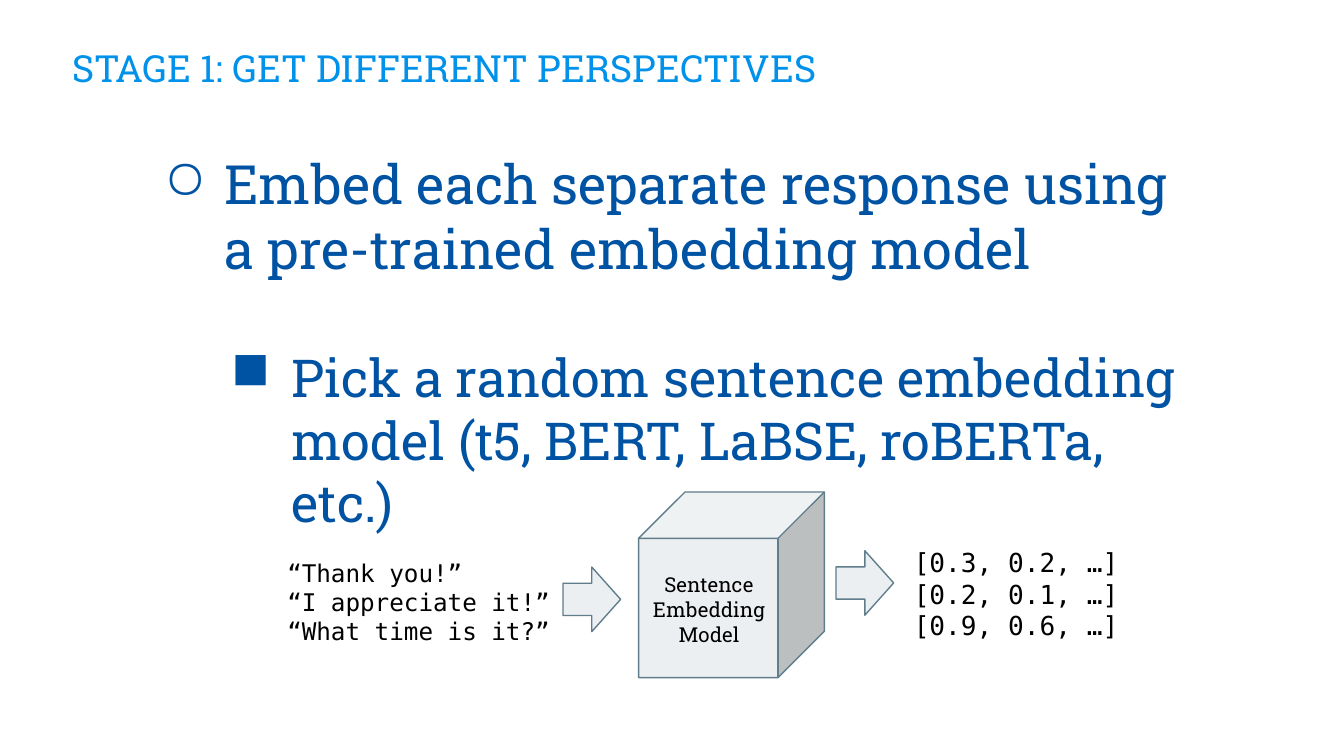
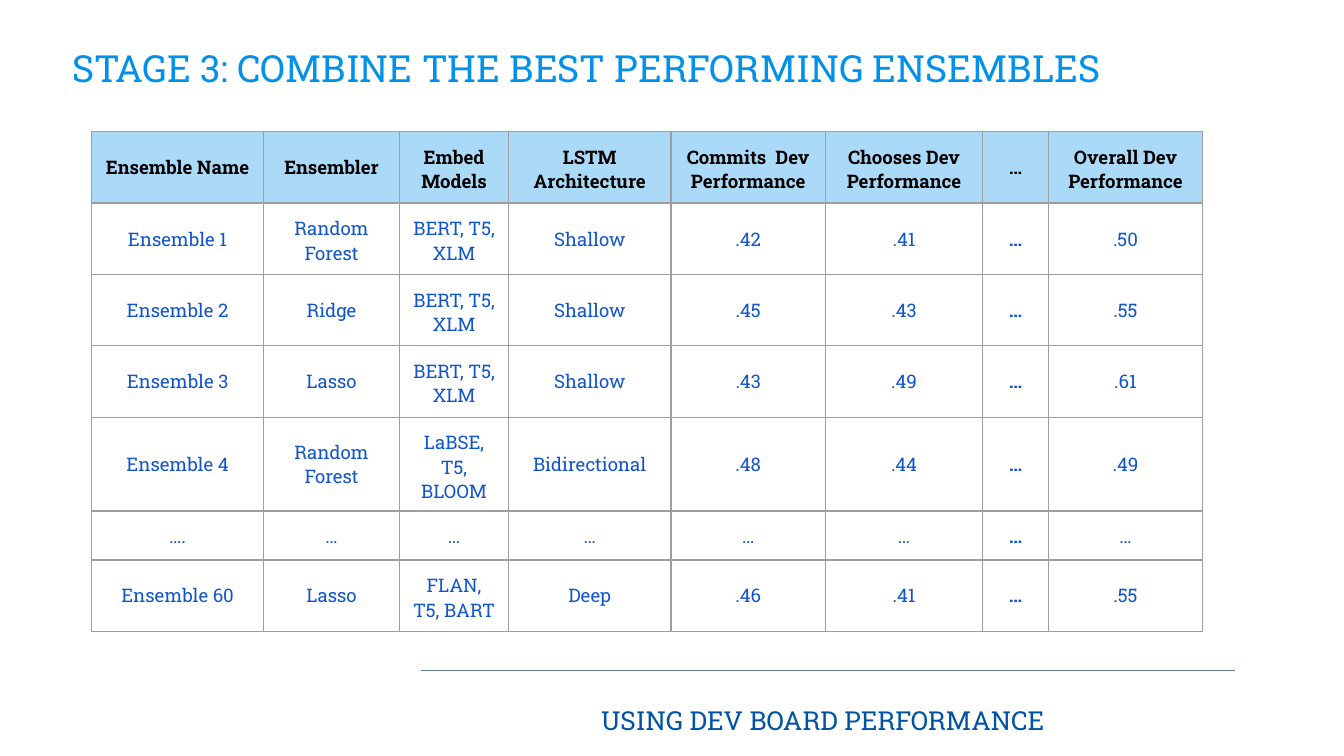
from lxml.etree import SubElement
from pptx import Presentation
from pptx.dml.color import RGBColor
from pptx.enum.shapes import MSO_CONNECTOR, MSO_SHAPE
from pptx.enum.text import MSO_ANCHOR, PP_ALIGN
from pptx.oxml.ns import qn
from pptx.util import Cm, Pt

SLAB = "Roboto Slab"
MONO = "DejaVu Sans Mono"
SKY = "0091EA"
NAVY = "0053A3"
BLUE = "1155CC"
BLACK = "000000"
PALE = "ECEFF1"
SLATE = "607D8B"
GREY = "9E9E9E"
INSET = 0.25
LINE_HEIGHT = 1.21

HEADER = ["Ensemble Name", "Ensembler", "Embed\nModels", "LSTM\nArchitecture",
          "Commits  Dev Performance", "Chooses Dev Performance", "…",
          "Overall Dev Performance"]
ENSEMBLES = [
    ["Ensemble 1", "Random Forest", "BERT, T5, XLM", "Shallow", ".42", ".41", "…", ".50"],
    ["Ensemble 2", "Ridge", "BERT, T5, XLM", "Shallow", ".45", ".43", "…", ".55"],
    ["Ensemble 3", "Lasso", "BERT, T5, XLM", "Shallow", ".43", ".49", "…", ".61"],
    ["Ensemble 4", "Random Forest", "LaBSE, T5, BLOOM", "Bidirectional", ".48", ".44", "…", ".49"],
    ["….", "…", "…", "…", "…", "…", "…", "…"],
    ["Ensemble 60", "Lasso", "FLAN, T5, BART", "Deep", ".46", ".41", "…", ".55"],
]
COLUMN_WIDTHS = [3.25, 2.57, 2.06, 3.07, 2.92, 2.97, 1.24, 2.92]
ROW_HEIGHTS = [1.27, 0.94, 0.94, 0.94, 1.22, 0.64, 1.02]
ELLIPSIS_COLUMN = HEADER.index("…")


def rgb(color):
    """Turn a hex string into a colour."""
    return RGBColor.from_string(color)


def style_paragraph(paragraph, size, color, font=SLAB, bold=False, align=PP_ALIGN.LEFT):
    """Set the font and alignment of a paragraph."""
    paragraph.font.name = font
    paragraph.font.size = Pt(size)
    paragraph.font.bold = bold
    paragraph.font.color.rgb = rgb(color)
    paragraph.alignment = align


def add_frame(slide, left, top, width, height, anchor=MSO_ANCHOR.TOP):
    """Add a wrapping text box and return its text frame."""
    frame = slide.shapes.add_textbox(Cm(left), Cm(top), Cm(width), Cm(height)).text_frame
    frame.word_wrap = True
    frame.vertical_anchor = anchor
    frame.margin_left = frame.margin_right = Cm(INSET)
    frame.margin_top = frame.margin_bottom = Cm(INSET)
    return frame


def add_text(slide, box, text, size, color, font=SLAB, align=PP_ALIGN.LEFT,
             anchor=MSO_ANCHOR.TOP):
    """Add a text box with one paragraph per line of text."""
    frame = add_frame(slide, *box, anchor=anchor)
    frame.text = text
    for paragraph in frame.paragraphs:
        style_paragraph(paragraph, size, color, font, align=align)
        paragraph.line_spacing = Pt(size * LINE_HEIGHT)


def add_title(slide, text):
    """Add the slide title."""
    add_text(slide, (1.12, 0, 21.03, 1.96), text, 20, SKY, anchor=MSO_ANCHOR.BOTTOM)


def add_outline_item(paragraph, text, size, margin, bullet=None):
    """Fill a paragraph of the outline, with a hanging bullet if one is given."""
    paragraph.add_run().text = text
    style_paragraph(paragraph, size, NAVY)
    paragraph.line_spacing = Pt(size * 1.2)
    properties = paragraph._p.get_or_add_pPr()
    properties.set("marL", str(Cm(margin)))
    properties.set("indent", str(Cm(-1.14) if bullet else 0))
    if bullet:
        mark = properties.makeelement(qn("a:buChar"), {"char": bullet})
        properties.find(qn("a:defRPr")).addprevious(mark)


def add_outline(slide):
    """Add the bulleted instructions."""
    frame = add_frame(slide, 1.45, 1.93, 21.62, 3.51)
    frame.margin_top = Cm(0.91)
    add_outline_item(frame.paragraphs[0], "Embed each separate response using", 29, 2.54, "○")
    add_outline_item(frame.add_paragraph(), "a pre-trained embedding model", 29, 2.54)
    detail = frame.add_paragraph()
    add_outline_item(detail, "Pick a random sentence embedding model "
                     "(t5, BERT, LaBSE, roBERTa, etc.)", 28, 3.81, "■")
    detail.space_before = Pt(35)


def add_block(slide, kind, left, top, width, height):
    """Add a pale outlined shape."""
    shape = slide.shapes.add_shape(kind, Cm(left), Cm(top), Cm(width), Cm(height))
    shape.shadow.inherit = False
    shape.fill.solid()
    shape.fill.fore_color.rgb = rgb(PALE)
    shape.line.color.rgb = rgb(SLATE)
    shape.line.width = Pt(0.75)


def add_rule(slide, left, right, top):
    """Add a thin horizontal line."""
    line = slide.shapes.add_connector(MSO_CONNECTOR.STRAIGHT, Cm(left), Cm(top),
                                      Cm(right), Cm(top))
    line.line.color.rgb = rgb(SLATE)
    line.line.width = Pt(0.75)
    SubElement(line._element.spPr, qn("a:effectLst"))


def add_borders(cell):
    """Draw the four borders of a cell."""
    properties = cell._tc.get_or_add_tcPr()
    for position, side in enumerate(("a:lnL", "a:lnR", "a:lnT", "a:lnB")):
        border = properties.makeelement(qn(side), {"w": str(Pt(0.75))})
        properties.insert(position, border)
        fill = SubElement(border, qn("a:solidFill"))
        SubElement(fill, qn("a:srgbClr"), val=GREY)


def fill_cell(cell, text, is_header, bold):
    """Write and style one table cell."""
    cell.text = text
    cell.vertical_anchor = MSO_ANCHOR.MIDDLE
    cell.margin_left = cell.margin_right = Cm(INSET)
    cell.margin_top = cell.margin_bottom = Cm(INSET)
    for paragraph in cell.text_frame.paragraphs:
        style_paragraph(paragraph, 10, BLACK if is_header else BLUE, bold=bold,
                        align=PP_ALIGN.CENTER)
    if is_header:
        cell.fill.solid()
        cell.fill.fore_color.rgb = rgb(SKY)
        color = cell._tc.tcPr.find(".//" + qn("a:srgbClr"))
        SubElement(color, qn("a:alpha"), val="33000")
    else:
        cell.fill.background()
    add_borders(cell)


def add_ensemble_table(slide):
    """Add the table of ensembles and their performance."""
    rows = [HEADER] + ENSEMBLES
    table = slide.shapes.add_table(len(rows), len(HEADER), Cm(1.73), Cm(2.49),
                                   Cm(sum(COLUMN_WIDTHS)), Cm(sum(ROW_HEIGHTS))).table
    table.first_row = table.horz_banding = False
    for column, width in zip(table.columns, COLUMN_WIDTHS):
        column.width = Cm(width)
    for row, height in zip(table.rows, ROW_HEIGHTS):
        row.height = Cm(height)
    for row_index, texts in enumerate(rows):
        for column_index, text in enumerate(texts):
            is_header = row_index == 0
            fill_cell(table.cell(row_index, column_index), text, is_header,
                      is_header or column_index == ELLIPSIS_COLUMN)


def build_embedding_slide(slide):
    """Build the slide on sentence embedding."""
    add_outline(slide)
    add_title(slide, "STAGE 1: GET DIFFERENT PERSPECTIVES")
    add_block(slide, MSO_SHAPE.CUBE, 12.07, 9.3, 3.51, 3.51)
    for left, top in ((10.64, 10.72), (15.8, 10.41)):
        add_block(slide, MSO_SHAPE.RIGHT_ARROW, left, top, 1.09, 1.22)
    add_text(slide, (5.18, 10.29, 5.77, 2.18),
             "“Thank you!”\n“I appreciate it!”\n“What time is it?”", 13, BLACK, MONO)
    add_text(slide, (17.02, 10.08, 6.05, 2.31),
             "[0.3, 0.2, …]\n[0.2, 0.1, …]\n[0.9, 0.6, …]", 14, BLACK, MONO)
    add_text(slide, (11.51, 10.11, 3.78, 2.82), "Sentence\nEmbedding\nModel", 11, BLACK,
             align=PP_ALIGN.CENTER, anchor=MSO_ANCHOR.MIDDLE)


def build_ensemble_slide(slide):
    """Build the slide on combining ensembles."""
    add_title(slide, "STAGE 3: COMBINE THE BEST PERFORMING ENSEMBLES")
    add_ensemble_table(slide)
    add_text(slide, (8.05, 13.06, 15.01, 1.12), "USING DEV BOARD PERFORMANCE", 14, NAVY,
             align=PP_ALIGN.CENTER)
    add_rule(slide, 7.95, 23.34, 12.67)


def main():
    """Build and save the presentation."""
    presentation = Presentation()
    presentation.slide_width = Cm(25.4)
    presentation.slide_height = Cm(14.29)
    blank = presentation.slide_layouts[6]
    for build in (build_embedding_slide, build_ensemble_slide):
        build(presentation.slides.add_slide(blank))
    presentation.save("out.pptx")


main()
